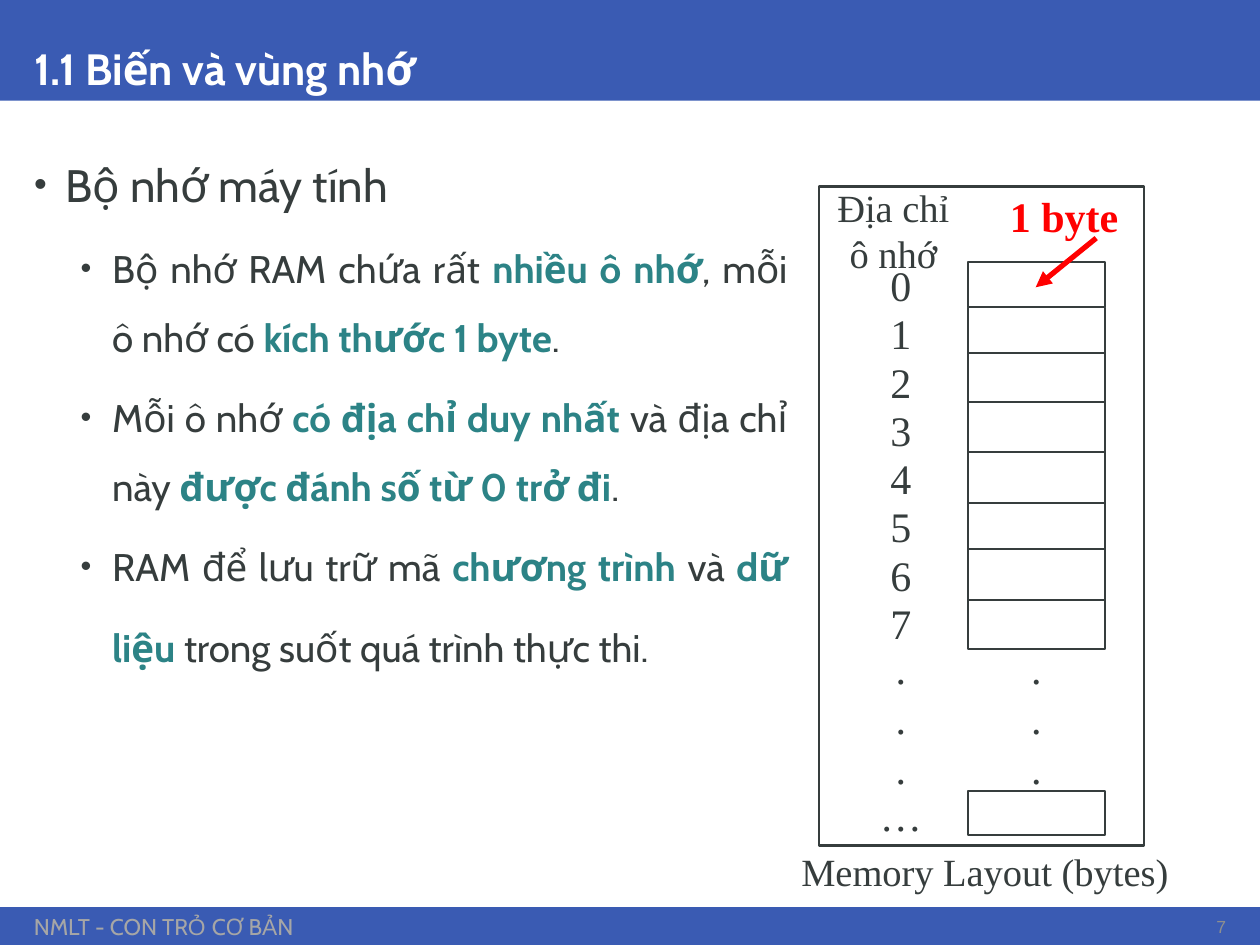
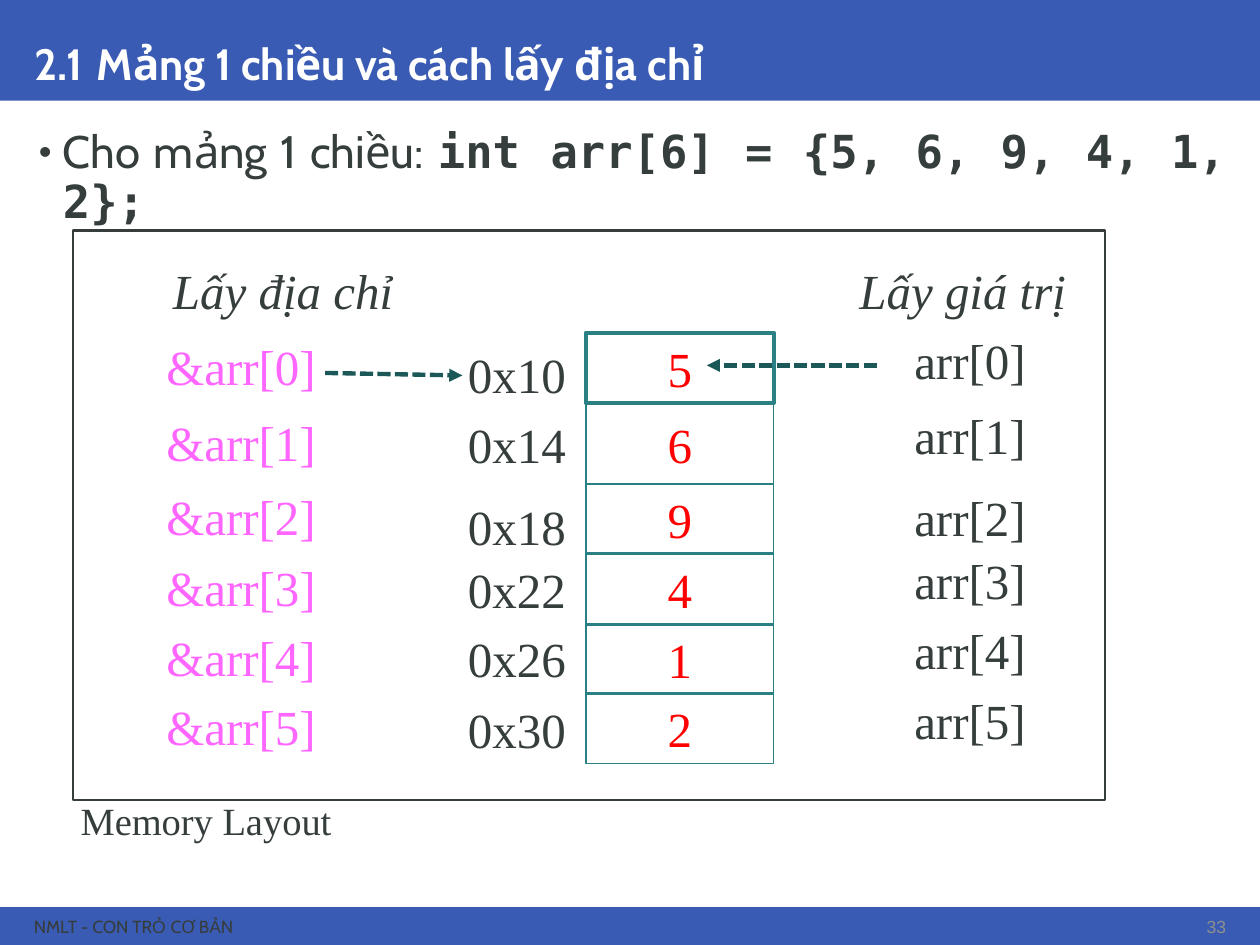
from dataclasses import dataclass
from itertools import cycle
from lxml.etree import SubElement
from pptx import Presentation
from pptx.dml.color import RGBColor
from pptx.enum.dml import MSO_LINE
from pptx.enum.shapes import MSO_CONNECTOR, MSO_SHAPE
from pptx.enum.text import MSO_ANCHOR, MSO_AUTO_SIZE, PP_ALIGN
from pptx.oxml.ns import qn
from pptx.util import Pt

PX = 9144
LEFT, MID, RIGHT, JUST = PP_ALIGN.LEFT, PP_ALIGN.CENTER, PP_ALIGN.RIGHT, PP_ALIGN.JUSTIFY


@dataclass(frozen=True)
class Theme:
    band: str = "3A5BB3"
    white: str = "FFFFFF"
    ink: str = "363D3D"
    accent: str = "2C8386"
    cell: str = "2A8082"
    arrow: str = "1D5859"
    red: str = "FF0000"
    pink: str = "FF66FF"
    pale: str = "A6A6A6"
    page: str = "8E8F8F"
    sans: str = "Cabin"
    plain: str = "Arial"
    serif: str = "Times New Roman"
    mono: str = "DejaVu Sans Mono"
    title: int = 25
    gap: int = 36
    lead: int = 26
    body: int = 22
    label: int = 24
    big: int = 28
    foot: int = 13
    small: int = 10


T = Theme()


def style(font, size=None, color=None, face=None, bold=None, italic=None):
    if size:
        font.size = Pt(size)
    if color:
        font.color.rgb = RGBColor.from_string(color)
    if face:
        font.name = face
    if bold is not None:
        font.bold = bold
    if italic is not None:
        font.italic = italic


class Deck:
    def __init__(self):
        self.prs = Presentation()
        self.prs.slide_width = 1000 * PX
        self.prs.slide_height = 750 * PX

    def start(self, num, name, page, gap=T.title, foot=T.small, tint=T.ink):
        self.slide = self.prs.slides.add_slide(self.prs.slide_layouts[5])
        title = self.slide.shapes.title
        for top, high in ((0, 80), (720, 30)):
            band = self.rect(0, top, 1000, high, fill=T.band)
            title.element.addprevious(band.element)
        self.footer(foot, tint)
        title.left, title.top, title.width, title.height = (
            n * PX for n in (22, 0, 957, 80))
        para = self.frame(title, MSO_ANCHOR.BOTTOM).paragraphs[0]
        para.alignment = LEFT
        para.line_spacing = 0.9
        style(para.font, color=T.white, face=T.sans, bold=True)
        for text, size in ((num, T.title), (" ", gap), (name, T.title)):
            run = para.add_run()
            run.text = text
            style(run.font, size)
        self.text(940, 723, 38, 25, page, T.small, T.page, RIGHT, face=T.plain)

    def footer(self, size, color):
        para = self.box(22, 719, 826, 32).paragraphs[0]
        style(para.font, size, color)
        parts = ("NMLT - CON TR", "Ỏ ", "CƠ B", "Ả", "N")
        for text, face in zip(parts, cycle((T.sans, T.plain))):
            run = para.add_run()
            run.text = text
            style(run.font, face=face)

    def frame(self, shape, anchor=MSO_ANCHOR.MIDDLE):
        frame = shape.text_frame
        frame.auto_size = MSO_AUTO_SIZE.NONE
        frame.word_wrap = True
        frame.vertical_anchor = anchor
        frame.margin_left = frame.margin_right = 5 * PX
        frame.margin_top = frame.margin_bottom = 5 * PX
        return frame

    def box(self, x, y, w, h, anchor=MSO_ANCHOR.MIDDLE):
        shape = self.slide.shapes.add_textbox(x * PX, y * PX, w * PX, h * PX)
        return self.frame(shape, anchor)

    def label(self, frame, text, size, color, align, face=T.serif, **look):
        frame.text = text
        for para in frame.paragraphs:
            para.alignment = align
            style(para.font, size, color, face, **look)

    def text(self, x, y, w, h, text, size, color=T.ink, align=MID, **look):
        self.label(self.box(x, y, w, h), text, size, color, align, **look)

    def rect(self, x, y, w, h, fill=None, line=None, width=1):
        shape = self.slide.shapes.add_shape(
            MSO_SHAPE.RECTANGLE, x * PX, y * PX, w * PX, h * PX)
        shape.shadow.inherit = False
        if fill:
            shape.fill.solid()
            shape.fill.fore_color.rgb = RGBColor.from_string(fill)
        else:
            shape.fill.background()
        if line:
            shape.line.color.rgb = RGBColor.from_string(line)
            shape.line.width = Pt(width)
        else:
            shape.line.fill.background()
        return shape

    def arrow(self, x, y, to_x, to_y, color, width, dash=None):
        link = self.slide.shapes.add_connector(
            MSO_CONNECTOR.STRAIGHT, x * PX, y * PX, to_x * PX, to_y * PX)
        link.line.color.rgb = RGBColor.from_string(color)
        link.line.width = Pt(width)
        if dash:
            link.line.dash_style = dash
        prop = link.element.spPr
        SubElement(prop.find(qn("a:ln")), qn("a:tailEnd"), type="triangle")
        SubElement(prop, qn("a:effectLst"))

    def bullet(self, para, text, size, left, hang, space, color=T.accent, face=None):
        prop = para._p.get_or_add_pPr()
        prop.set("marL", str(left * PX))
        prop.set("indent", str(-hang * PX))
        SubElement(prop, qn("a:buSzPct"), val="80000")
        SubElement(prop, qn("a:buFont"), typeface=T.plain)
        SubElement(prop, qn("a:buChar"), char="•")
        para.alignment = JUST
        para.line_spacing = space
        style(para.font, size, T.ink, T.sans)
        for spot, part in enumerate(text.split("*")):
            if part:
                run = para.add_run()
                run.text = part
                if spot % 2:
                    style(run.font, color=color, face=face, bold=True)


def memory(deck):
    deck.start("1.1", "Biến và vùng nhớ", "7", foot=T.foot, tint=T.pale)
    body = deck.box(22, 98, 608, 605, MSO_ANCHOR.TOP)
    deck.bullet(body.paragraphs[0], "Bộ nhớ máy tính", T.lead, 25, 25, 1.5)
    for text in (
        "Bộ nhớ RAM chứa rất *nhiều ô nhớ*, mỗi ô nhớ có *kích thước 1 byte*.",
        "Mỗi ô nhớ *có địa chỉ duy nhất *và địa chỉ này *được đánh số từ 0 trở đi*.",
        "RAM để lưu trữ mã *chương trình *và *dữ liệu *trong suốt quá trình thực thi.",
    ):
        para = body.add_paragraph()
        deck.bullet(para, text, T.body, 62, 25, 1.5)
        para.space_before = Pt(6)
    tail = para.add_run()
    tail.text = " "
    style(tail.font, T.lead)

    deck.rect(650, 148, 258, 523, T.white, T.ink, 1.5)
    deck.text(631, 669, 358, 45, "Memory Layout (bytes)", T.body, align=LEFT)
    tops = (208, 244, 280, 319, 359, 399, 436, 476, 515)
    for top, low in zip(tops, tops[1:]):
        deck.rect(768, top, 109, low - top, line=T.ink)
    deck.rect(768, 628, 109, 35, line=T.ink)
    for spot in range(8):
        deck.text(668, round(203 + 38.3 * spot), 94, 46, str(spot), T.label)
    for x, wide in ((668, 94), (768, 109)):
        deck.text(x, 509, wide, 121, ".\n.\n.", T.label)
    deck.text(668, 624, 94, 46, "…", T.label)
    deck.text(650, 142, 118, 81, "Địa chỉ ô nhớ", T.body)
    deck.text(781, 148, 127, 46, "1 byte", T.label, T.red, bold=True)
    deck.arrow(870, 189, 822, 228, T.red, 3)


def array(deck):
    deck.start("2.1", "Mảng 1 chiều và cách lấy địa chỉ", "33", gap=T.gap)
    body = deck.box(22, 98, 957, 605, MSO_ANCHOR.TOP)
    deck.bullet(body.paragraphs[0],
                "Cho mảng 1 chiều: *int arr[6] = {5, 6, 9, 4, 1, 2};*",
                T.lead, 23, 19, 0.9, T.ink, T.mono)
    deck.rect(58, 183, 819, 452, line=T.ink, width=1.5)
    deck.text(59, 628, 218, 45, "Memory Layout", T.body, align=LEFT)
    rows = (
        (5, 264, 56, "0x10", 270, 259, 264),
        (6, 321, 63, "0x14", 326, 319, 324),
        (9, 384, 56, "0x18", 391, 384, 383),
        (4, 439, 57, "0x22", 441, 434, 439),
        (1, 495, 56, "0x26", 496, 489, 495),
        (2, 550, 56, "0x30", 552, 545, 550),
    )
    for spot, (value, top, high, code, code_y, item_y, ref_y) in enumerate(rows):
        width = 1 if spot else 2.25
        cell = deck.rect(465, top, 149, high, line=T.cell, width=width)
        deck.label(deck.frame(cell), str(value), T.big, T.red, MID)
        deck.text(305, code_y, 149, 53, code, T.big, align=RIGHT)
        deck.text(670, item_y, 149, 53, f"arr[{spot}]", T.big, align=RIGHT)
        deck.text(127, ref_y, 317, 53, f"&arr[{spot}]", T.big, T.pink, LEFT)
    for x, name in ((639, "Lấy giá trị"), (105, "Lấy địa chỉ")):
        deck.text(x, 204, 212, 53, name, T.big, align=RIGHT, italic=True)
    for ends in ((696, 290, 561, 290), (258, 296, 367, 298)):
        deck.arrow(*ends, T.arrow, 2.5, MSO_LINE.SQUARE_DOT)


def main():
    deck = Deck()
    memory(deck)
    array(deck)
    deck.prs.save("out.pptx")


if __name__ == "__main__":
    main()
